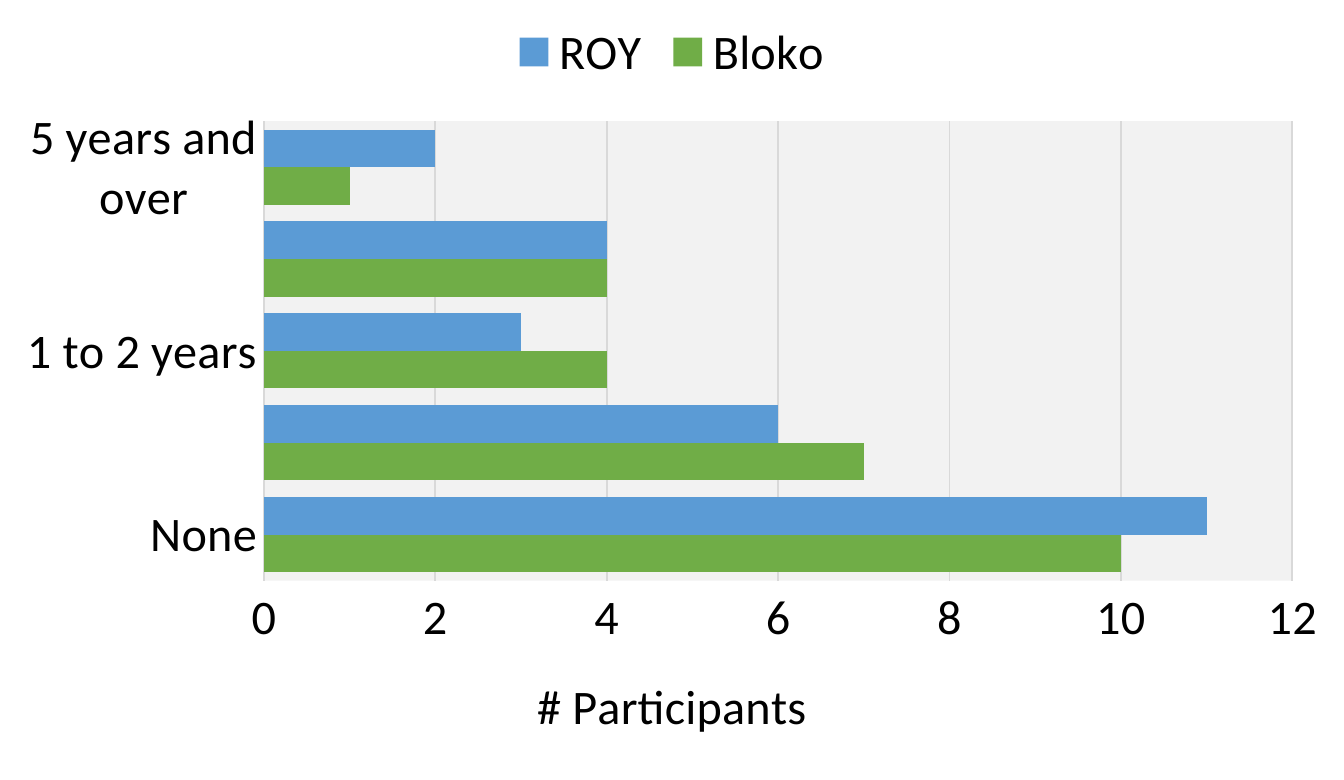
from pptx import Presentation
from pptx.chart.data import CategoryChartData
from pptx.dml.color import RGBColor
from pptx.enum.chart import XL_CHART_TYPE as ChartType, XL_LEGEND_POSITION as LegendPosition, XL_TICK_MARK as TickMark
from pptx.oxml import parse_xml
from pptx.oxml.ns import nsdecls
from pptx.util import Cm, Pt

BLACK = RGBColor(0x00, 0x00, 0x00)
GRID_GRAY = RGBColor(0xD9, 0xD9, 0xD9)
PLOT_GRAY = RGBColor(0xF2, 0xF2, 0xF2)
GREEN = RGBColor(0x70, 0xAD, 0x47)
BLUE = RGBColor(0x5B, 0x9B, 0xD5)
TEXT_FORMAT = {"name": "Calibri", "size": Pt(20), "bold": False}


def style_text(font):
    for attribute, value in TEXT_FORMAT.items():
        setattr(font, attribute, value)
    font.color.rgb = BLACK


presentation = Presentation()
presentation.slide_width = Cm(19.69)
presentation.slide_height = Cm(11.43)
slide = presentation.slides.add_slide(presentation.slide_layouts[6])

experience = CategoryChartData(number_format="General")
experience.categories = ["None", "Less than 1", "1 to 2 years", "3 to 4 years", "5 years and over"]
experience.add_series("Bloko", (10, 7, 4, 4, 1))
experience.add_series("ROY", (11, 6, 3, 4, 2))

participants = slide.shapes.add_chart(
    ChartType.BAR_CLUSTERED, 0, 0, presentation.slide_width, presentation.slide_height, experience
).chart
style_text(participants.font)
participants.has_title = False

participants.has_legend = True
legend = participants.legend
legend.position = LegendPosition.TOP
legend.include_in_layout = False
style_text(legend.font)

bars = participants.plots[0]
for attribute, value in {"gap_width": 45, "overlap": 0, "vary_by_categories": False}.items():
    setattr(bars, attribute, value)
for group, color in zip(bars.series, (GREEN, BLUE)):
    group.format.fill.solid()
    group.format.fill.fore_color.rgb = color
    group.invert_if_negative = False

years = participants.category_axis
count = participants.value_axis
for axis in (years, count):
    axis.major_tick_mark = axis.minor_tick_mark = TickMark.NONE
    style_text(axis.tick_labels.font)
for attribute, value in {"minimum_scale": 0, "maximum_scale": 12, "major_unit": 2, "has_major_gridlines": True}.items():
    setattr(count, attribute, value)
count.format.line.fill.background()
for line in (years.format.line, count.major_gridlines.format.line):
    line.color.rgb = GRID_GRAY
    line.width = Pt(0.75)

count_title = count.axis_title.text_frame
count_title.text = "# Participants"
style_text(count_title.paragraphs[0].runs[0].font)

bars._element.getparent().append(parse_xml(
    f"<c:spPr {nsdecls('c', 'a')}><a:solidFill><a:srgbClr val='{PLOT_GRAY}'/></a:solidFill>"
    "<a:ln><a:noFill/></a:ln></c:spPr>"
))

presentation.save("out.pptx")
